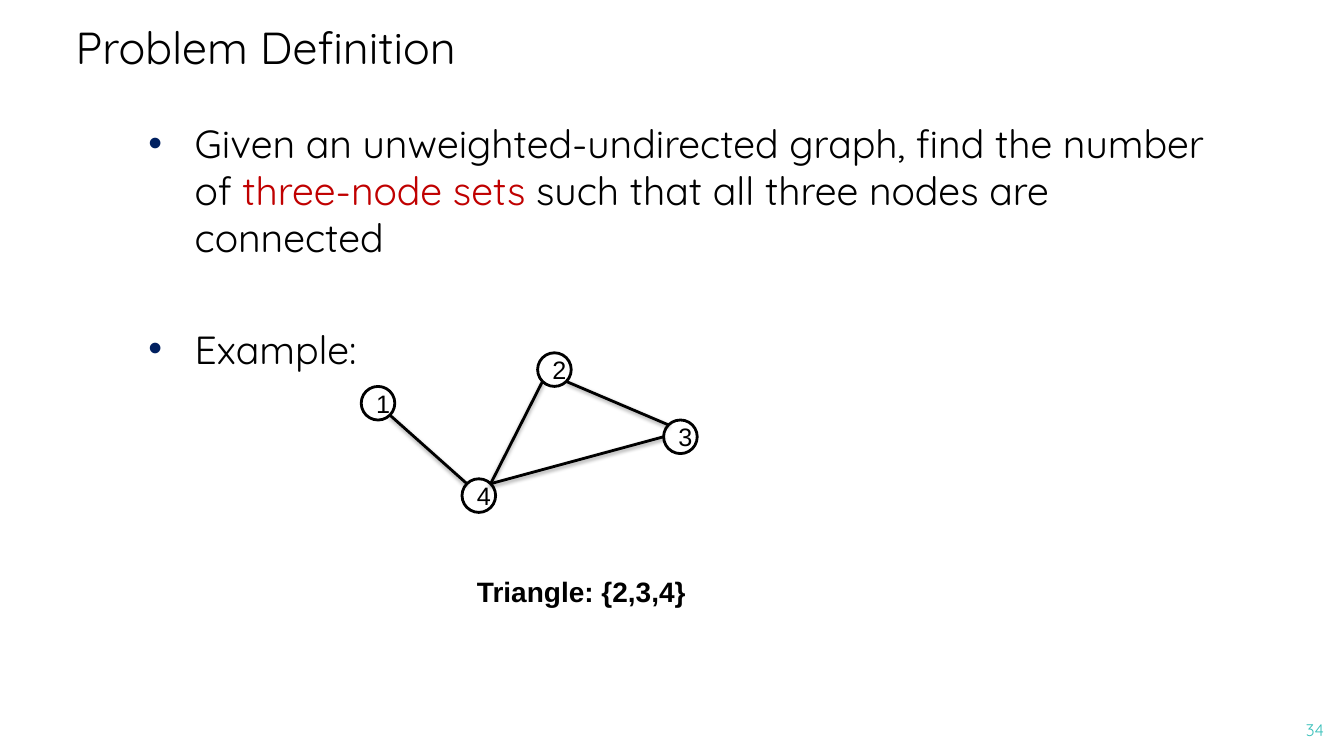
from dataclasses import dataclass
from math import cos, radians, sin

from lxml import etree
from pptx import Presentation
from pptx.dml.color import RGBColor
from pptx.enum.shapes import MSO_CONNECTOR, MSO_SHAPE
from pptx.enum.text import MSO_ANCHOR, MSO_AUTO_SIZE, PP_ALIGN
from pptx.oxml.ns import qn
from pptx.util import Inches, Pt

LEFT, CENTER, RIGHT = PP_ALIGN.LEFT, PP_ALIGN.CENTER, PP_ALIGN.RIGHT
TOP, MIDDLE, BOTTOM = MSO_ANCHOR.TOP, MSO_ANCHOR.MIDDLE, MSO_ANCHOR.BOTTOM
NO_AUTOFIT = MSO_AUTO_SIZE.NONE
OVAL, STRAIGHT = MSO_SHAPE.OVAL, MSO_CONNECTOR.STRAIGHT

COLUMNS, ROWS = 160, 90
UNIT = Inches(1 / 12)
NODE_SIZE = 4
TITLE_ONLY = 5


@dataclass(frozen=True)
class Theme:
    heading_font: str = "Quicksand"
    graph_font: str = "Arial"
    black: str = "000000"
    white: str = "FFFFFF"
    accent: str = "C00000"
    bullet: str = "002060"
    number: str = "39C0BA"
    title_size: float = 32
    body_size: float = 28
    caption_size: float = 20
    node_size: float = 18
    number_size: float = 12
    line_width: float = 2


THEME = Theme()


@dataclass(frozen=True)
class Area:
    column: float
    row: float
    columns: float
    rows: float

    def box(self):
        return tuple(grid(value) for value in (self.column, self.row, self.columns, self.rows))


@dataclass(frozen=True)
class Node:
    label: str
    column: float
    row: float

    def rim(self, angle: float):
        """Grid point on the circle, with the angle clockwise from the right."""
        radius = NODE_SIZE / 2
        return (self.column + radius + radius * cos(radians(angle)),
                self.row + radius + radius * sin(radians(angle)))


@dataclass(frozen=True)
class Edge:
    start: str
    start_angle: float
    end: str
    end_angle: float


TITLE_AREA = Area(7.8, 2.9, 144, 7.1)
BODY_AREA = Area(16, 13, 129.6, 72)
NUMBER_AREA = Area(149.2, 84.5, 9.6, 5.5)
CAPTION_AREA = Area(55.6, 67.8, 27.5, 5.3)

NODES = [Node("1", 43, 46), Node("2", 64, 42), Node("4", 55, 57), Node("3", 79, 50)]
EDGES = [
    Edge("2", 135, "4", -45),
    Edge("2", 45, "3", -135),
    Edge("4", -45, "3", 180),
    Edge("1", 45, "4", -135),
]


def grid(value: float) -> int:
    return round(value * UNIT)


def add_text(paragraph, text: str, *, size: float, font: str = THEME.heading_font,
             color: str = THEME.black, bold: bool = False, align=LEFT) -> None:
    paragraph.alignment = align
    run = paragraph.add_run()
    run.text = text
    run.font.size = Pt(size)
    run.font.name = font
    run.font.bold = bold
    run.font.color.rgb = RGBColor.from_string(color)


def set_frame(shape, *, anchor=TOP, wrap: bool = True) -> None:
    frame = shape.text_frame
    frame.auto_size = NO_AUTOFIT
    frame.word_wrap = wrap
    frame.vertical_anchor = anchor
    frame.margin_left = frame.margin_right = Inches(0.1)
    frame.margin_top = frame.margin_bottom = Inches(0.1)


def add_bullet(paragraph) -> None:
    properties = paragraph._p.get_or_add_pPr()
    properties.set("marL", str(Inches(0.5)))
    properties.set("indent", str(Inches(-0.46)))
    color = etree.SubElement(properties, qn("a:buClr"))
    etree.SubElement(color, qn("a:srgbClr"), val=THEME.bullet)
    etree.SubElement(properties, qn("a:buFont"), typeface="Arial")
    etree.SubElement(properties, qn("a:buChar"), char="•")


def add_soft_shadow(connector) -> None:
    effects = etree.SubElement(connector._element.spPr, qn("a:effectLst"))
    shadow = etree.SubElement(effects, qn("a:outerShdw"), blurRad=str(Pt(3.1)),
                              dist=str(Pt(1.6)), dir="5400000", rotWithShape="0")
    color = etree.SubElement(shadow, qn("a:srgbClr"), val=THEME.black)
    etree.SubElement(color, qn("a:alpha"), val="38000")


def format_line(line) -> None:
    line.color.rgb = RGBColor.from_string(THEME.black)
    line.width = Pt(THEME.line_width)


def add_title(slide) -> None:
    title = slide.shapes.title
    title.left, title.top, title.width, title.height = TITLE_AREA.box()
    set_frame(title, anchor=BOTTOM)
    add_text(title.text_frame.paragraphs[0], "Problem Definition", size=THEME.title_size)


def add_body(slide) -> None:
    body = slide.shapes.add_textbox(*BODY_AREA.box())
    set_frame(body)
    definition = body.text_frame.paragraphs[0]
    add_bullet(definition)
    for text, color in (
        ("Given an unweighted-undirected graph, find the number of ", THEME.black),
        ("three-node sets ", THEME.accent),
        ("such that all three nodes are connected", THEME.black),
    ):
        add_text(definition, text, size=THEME.body_size, color=color)
    example = body.text_frame.add_paragraph()
    add_bullet(example)
    example.space_before = Pt(46)
    add_text(example, "Example:", size=THEME.body_size)


def add_node(slide, node: Node) -> None:
    circle = slide.shapes.add_shape(OVAL, *Area(node.column, node.row, NODE_SIZE, NODE_SIZE).box())
    circle.shadow.inherit = False
    circle.fill.solid()
    circle.fill.fore_color.rgb = RGBColor.from_string(THEME.white)
    format_line(circle.line)
    circle.text_frame.vertical_anchor = MIDDLE
    add_text(circle.text_frame.paragraphs[0], node.label, size=THEME.node_size,
             font=THEME.graph_font, align=CENTER)


def add_edge(slide, edge: Edge, nodes: dict[str, Node]) -> None:
    points = nodes[edge.start].rim(edge.start_angle) + nodes[edge.end].rim(edge.end_angle)
    connector = slide.shapes.add_connector(STRAIGHT, *(grid(value) for value in points))
    format_line(connector.line)
    add_soft_shadow(connector)


def add_caption(slide) -> None:
    caption = slide.shapes.add_textbox(*CAPTION_AREA.box())
    set_frame(caption, wrap=False)
    caption.text_frame.margin_top = caption.text_frame.margin_bottom = Inches(0.05)
    add_text(caption.text_frame.paragraphs[0], "Triangle: {2,3,4}", size=THEME.caption_size,
             font=THEME.graph_font, bold=True)


def add_slide_number(slide) -> None:
    number = slide.shapes.add_textbox(*NUMBER_AREA.box())
    set_frame(number)
    add_text(number.text_frame.paragraphs[0], "34", size=THEME.number_size,
             color=THEME.number, align=RIGHT)


def main() -> None:
    presentation = Presentation()
    presentation.slide_width = grid(COLUMNS)
    presentation.slide_height = grid(ROWS)
    slide = presentation.slides.add_slide(presentation.slide_layouts[TITLE_ONLY])
    add_title(slide)
    add_body(slide)
    add_slide_number(slide)
    for node in NODES:
        add_node(slide, node)
    nodes = {node.label: node for node in NODES}
    for edge in EDGES:
        add_edge(slide, edge, nodes)
    add_caption(slide)
    presentation.save("out.pptx")


if __name__ == "__main__":
    main()
